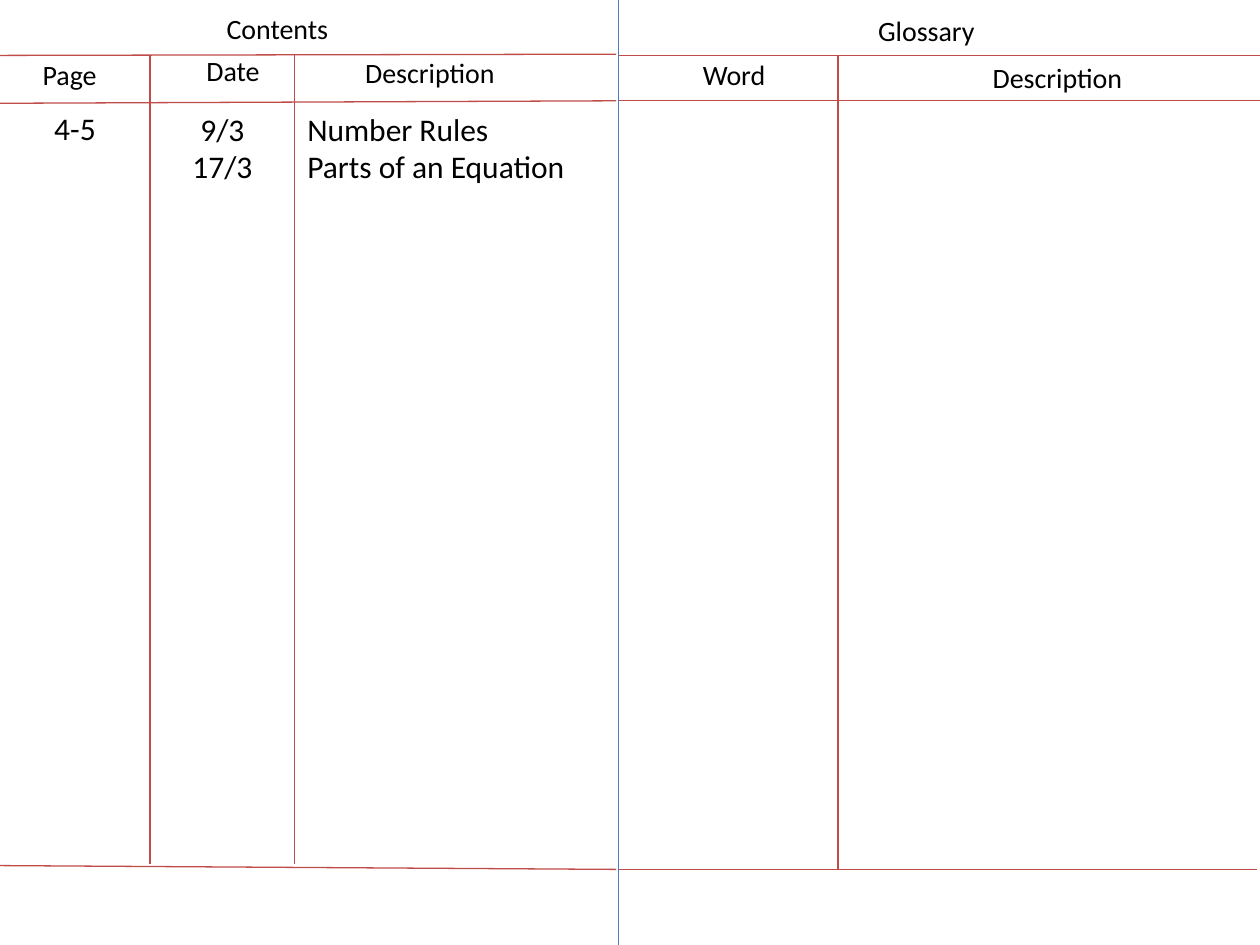
from pptx import Presentation
from pptx.dml.color import RGBColor
from pptx.enum.shapes import MSO_CONNECTOR
from pptx.enum.text import MSO_AUTO_SIZE, PP_ALIGN
from pptx.oxml.ns import qn
from pptx.util import Inches, Pt
from lxml import etree

STRAIGHT = MSO_CONNECTOR.STRAIGHT
FIT_SHAPE = MSO_AUTO_SIZE.SHAPE_TO_FIT_TEXT
LEFT, CENTER = PP_ALIGN.LEFT, PP_ALIGN.CENTER

COLORS = {"rule": "BF4C48", "fold": "4B7EBC", "text": "000000"}
FONT = "Calibri"
WIDTH, HEIGHT = Inches(10), Inches(7.5)
COLUMN, ROW = WIDTH / 100, HEIGHT / 75
HEADING_ROWS = 3.7


def add_rule(slide, box, start, end, color="rule"):
    """Draw a thin line between two grid points counted from the box corner."""
    left, top = box[:2]
    points = [
        round(length)
        for column, row in (start, end)
        for length in ((left + column) * COLUMN, (top + row) * ROW)
    ]
    connector = slide.shapes.add_connector(STRAIGHT, *points)
    connector.line.color.rgb = RGBColor.from_string(COLORS[color])
    connector.line.width = Pt(0.75)
    etree.SubElement(connector._element.spPr, qn("a:effectLst"))


def add_text(slide, box, area, text, size=16, alignment=LEFT, wrap=True):
    """Place text in an area given in grid units from the box corner."""
    left, top = box[:2]
    column, row, columns, rows = area
    text_box = slide.shapes.add_textbox(
        round((left + column) * COLUMN), round((top + row) * ROW),
        round(columns * COLUMN), round(rows * ROW),
    )
    text_frame = text_box.text_frame
    text_frame.word_wrap = wrap
    text_frame.auto_size = FIT_SHAPE
    text_frame.text = text
    for paragraph in text_frame.paragraphs:
        paragraph.alignment = alignment
        for run in paragraph.runs:
            run.font.name = FONT
            run.font.size = Pt(size)
            run.font.color.rgb = RGBColor.from_string(COLORS["text"])


def add_page(slide, box, rules, dividers, headings):
    """Rule one page of the book and place its title and column headings."""
    width, height = box[2:]
    for start_row, end_row, end_column in rules:
        add_rule(slide, box, (0, start_row), (end_column, end_row))
    for column in dividers:
        add_rule(slide, box, (column, 4.4), (column, height))
    for text, column, row, columns, wrap in headings:
        add_text(slide, box, (column, row, columns, HEADING_ROWS), text, wrap=wrap)


def add_contents(slide, box):
    """Build the contents page with its page, date and description entries."""
    width = box[2]
    dividers = [11.9, 23.4]
    add_page(
        slide, box,
        rules=[(4.4, 4.3, width), (8.2, 8, width), (68.7, 69, width)],
        dividers=dividers,
        headings=[
            ("Contents", 17, 0.4, 10.2, False),
            ("Page", 2.4, 4.1, 6.4, False),
            ("Date", 15.4, 3.8, 6.3, False),
            ("Description", 28, 3.9, 15.3, True),
        ],
    )
    edges = [0, *dividers, width]
    entries = [
        ("4-5", CENTER, 4),
        ("9/3\n17/3", CENTER, 7.1),
        ("Number Rules\nParts of an Equation", LEFT, 7.1),
    ]
    for start, end, (text, alignment, rows) in zip(edges, edges[1:], entries):
        add_text(slide, box, (start, 8.2, end - start, rows), text, 18, alignment)


def add_glossary(slide, box):
    """Build the glossary page with its word and description columns."""
    width, height = box[2:]
    add_page(
        slide, box,
        rules=[(4.4, 4.4, width), (8, 8, width), (height, height, width - 0.2)],
        dividers=[17.4],
        headings=[
            ("Glossary", 19.6, 0.6, 11.1, True),
            ("Word", 5.7, 4.1, 8.8, True),
            ("Description", 28.7, 4.3, 12.4, True),
        ],
    )


def main():
    """Build the double-page slide and save it."""
    presentation = Presentation()
    presentation.slide_width, presentation.slide_height = WIDTH, HEIGHT
    slide = presentation.slides.add_slide(presentation.slide_layouts[6])
    fold = 49.1
    add_rule(slide, (0, 0, 100, 75), (fold, 0), (fold, 75), "fold")
    add_contents(slide, (0, 0, 48.9, 68.6))
    add_glossary(slide, (fold, 0, 100 - fold, 69))
    presentation.save("out.pptx")


if __name__ == "__main__":
    main()
